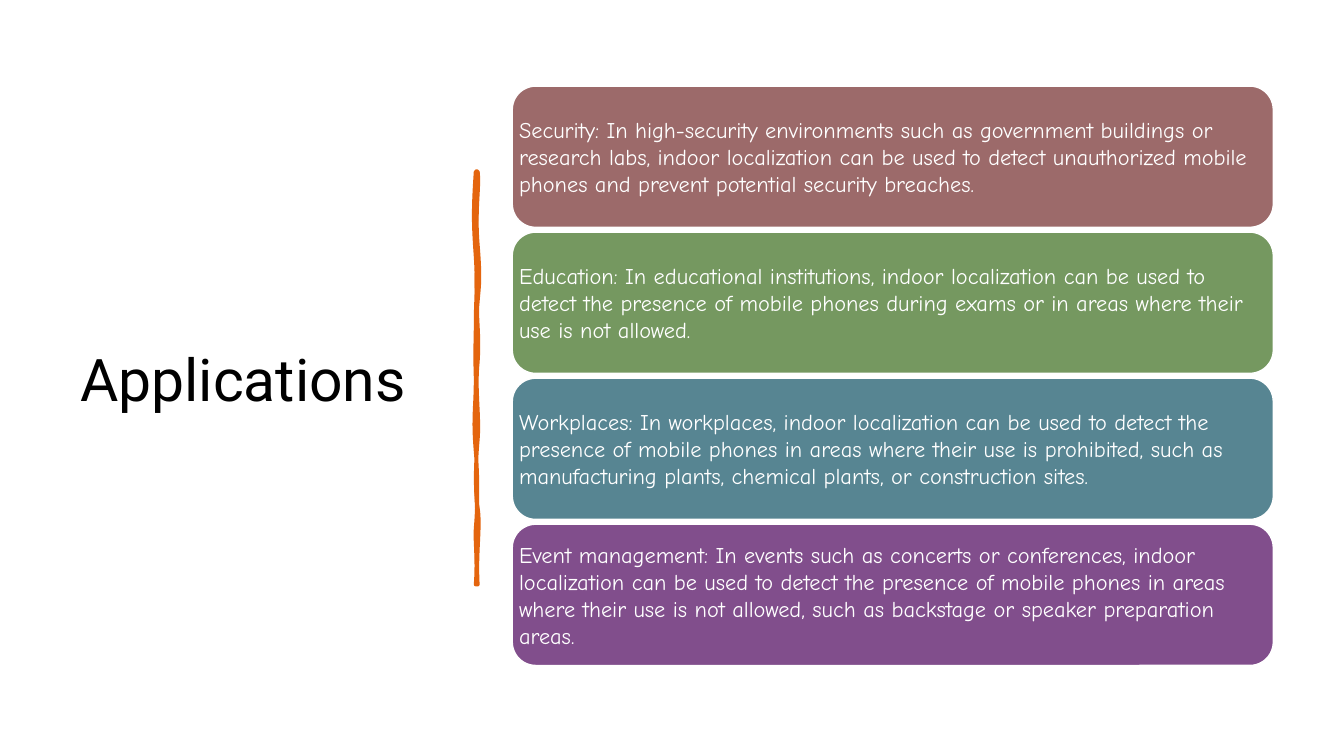
from lxml import etree
from pptx import Presentation
from pptx.dml.color import RGBColor
from pptx.enum.shapes import MSO_SHAPE
from pptx.enum.text import MSO_ANCHOR, PP_ALIGN
from pptx.oxml.ns import qn
from pptx.util import Cm, Pt

RECT = MSO_SHAPE.RECTANGLE
ROUND = MSO_SHAPE.ROUNDED_RECTANGLE
MIDDLE = MSO_ANCHOR.MIDDLE
LEFT = PP_ALIGN.LEFT

COLORS = {
    "black": "000000",
    "white": "FFFFFF",
    "orange": "E4650E",
    "rose": "9C6A6A",
    "green": "759860",
    "teal": "578592",
    "purple": "814E8C",
}

CARDS = [
    ("rose", "Security: In high-security environments such as government buildings or "
             "research labs, indoor localization can be used to detect unauthorized "
             "mobile phones and prevent potential security breaches."),
    ("green", "Education: In educational institutions, indoor localization can be used "
              "to detect the presence of mobile phones during exams or in areas where "
              "their use is not allowed."),
    ("teal", "Workplaces: In workplaces, indoor localization can be used to detect the "
             "presence of mobile phones in areas where their use is prohibited, such as "
             "manufacturing plants, chemical plants, or construction sites."),
    ("purple", "Event management: In events such as concerts or conferences, indoor "
               "localization can be used to detect the presence of mobile phones in "
               "areas where their use is not allowed, such as backstage or speaker "
               "preparation areas."),
]
CARD_LEFT, CARD_TOP, CARD_WIDTH, CARD_HEIGHT, CARD_STEP = 12.91, 2.17, 19.18, 3.56, 3.68

WIDE, HIGH = 33.87, 19.05
UNIT = 0.03
RULE_LEFT, RULE_TOP, RULE_WIDTH, RULE_HEIGHT = 11.99, 4.32, 0.05, 10.41
START = (472, 170)
SPAN = (2, 410)
STROKE = [
    (473, 170, 473, 170, 474, 170), (476, 186, 471, 207, 474, 243),
    (477, 279, 475, 285, 474, 299), (472, 313, 476, 331, 474, 359),
    (471, 387, 476, 413, 474, 436), (472, 458, 471, 485, 474, 504),
    (477, 523, 472, 548, 474, 580), (473, 580, 473, 580, 472, 580),
    (474, 554, 471, 536, 472, 524), (473, 513, 475, 483, 472, 448),
    (469, 413, 472, 406, 472, 375), (471, 345, 472, 341, 472, 319),
    (472, 298, 474, 285, 472, 255), (470, 226, 469, 212, 472, 170),
]
BODY = [
    (472, 170, 473, 170, 474, 170), (476, 195, 475, 201, 474, 226),
    (473, 252, 478, 280, 474, 303), (470, 326, 476, 344, 474, 371),
    (472, 399, 474, 417, 474, 431), (474, 446, 473, 463, 474, 492),
    (475, 520, 473, 544, 474, 580), (473, 580, 472, 580, 472, 580),
    (471, 568, 471, 536, 472, 524), (472, 513, 469, 478, 472, 460),
    (475, 442, 473, 423, 472, 396), (471, 369, 470, 343, 472, 323),
    (473, 304, 469, 281, 472, 259), (475, 237, 474, 211, 472, 170),
]


def tint(name):
    """Return the named colour."""
    return RGBColor.from_string(COLORS[name])


def paint(shape, color):
    """Give the shape a plain fill and no shadow."""
    shape.shadow.inherit = False
    shape.fill.solid()
    shape.fill.fore_color.rgb = tint(color)


def style(frame, size, font, color):
    """Centre the text vertically and format its runs."""
    frame.word_wrap = True
    frame.vertical_anchor = MIDDLE
    for para in frame.paragraphs:
        para.alignment = LEFT
        for run in para.runs:
            run.font.size = Pt(size)
            run.font.name = font
            run.font.color.rgb = tint(color)


def add_node(path, tag, points):
    """Add one drawing step to a path."""
    node = etree.SubElement(path, qn(tag))
    for x, y in points:
        etree.SubElement(node, qn("a:pt"), x=str(x - START[0]), y=str(y - START[1]))


def add_path(paths, curves, **flags):
    """Add one closed chain of cubic curves."""
    path = etree.SubElement(paths, qn("a:path"), w=str(SPAN[0]), h=str(SPAN[1]), **flags)
    add_node(path, "a:moveTo", [START])
    for curve in curves:
        add_node(path, "a:cubicBezTo", zip(curve[::2], curve[1::2]))
    etree.SubElement(path, qn("a:close"))


def add_rule(slide):
    """Add the hand-drawn divider."""
    maker = slide.shapes.build_freeform(0, 0, scale=Cm(UNIT))
    maker.add_line_segments([(SPAN[0], 0), SPAN, (0, SPAN[1])], close=True)
    rule = maker.convert_to_shape()
    rule.left, rule.top = Cm(RULE_LEFT), Cm(RULE_TOP)
    rule.width, rule.height = Cm(RULE_WIDTH), Cm(RULE_HEIGHT)
    paths = next(rule.element.iter(qn("a:pathLst")))
    paths.remove(paths[0])
    add_path(paths, STROKE, fill="none")
    add_path(paths, BODY, stroke="0")
    paint(rule, "orange")
    rule.line.color.rgb = tint("orange")
    rule.line.width = Pt(2.75)


def add_title(slide, text):
    """Fill and place the title."""
    title = slide.shapes.title
    title.left, title.top = Cm(1.77), Cm(1.76)
    title.width, title.height = Cm(9.5), Cm(15.52)
    title.text_frame.text = text
    style(title.text_frame, 42, "Roboto", "black")


def add_back(slide):
    """Add the white panel behind everything."""
    panel = slide.shapes.add_shape(RECT, Cm(0), Cm(0), Cm(WIDE), Cm(HIGH))
    paint(panel, "white")
    panel.line.fill.background()
    slide.shapes.title.element.addprevious(panel.element)


def add_card(slide, top, color, text):
    """Add one rounded card with its text."""
    card = slide.shapes.add_shape(
        ROUND, Cm(CARD_LEFT), Cm(top), Cm(CARD_WIDTH), Cm(CARD_HEIGHT))
    paint(card, color)
    card.line.color.rgb = tint("white")
    card.line.width = Pt(1)
    frame = card.text_frame
    frame.margin_left = frame.margin_right = Cm(0)
    frame.margin_top = frame.margin_bottom = Cm(0)
    frame.text = text
    style(frame, 16, "Comic Neue", "white")


def main():
    """Build and save the slide."""
    deck = Presentation()
    deck.slide_width, deck.slide_height = Cm(WIDE), Cm(HIGH)
    slide = deck.slides.add_slide(deck.slide_layouts[5])
    add_back(slide)
    add_title(slide, "Applications")
    add_rule(slide)
    for i, (color, text) in enumerate(CARDS):
        add_card(slide, CARD_TOP + i * CARD_STEP, color, text)
    deck.save("out.pptx")


if __name__ == "__main__":
    main()
